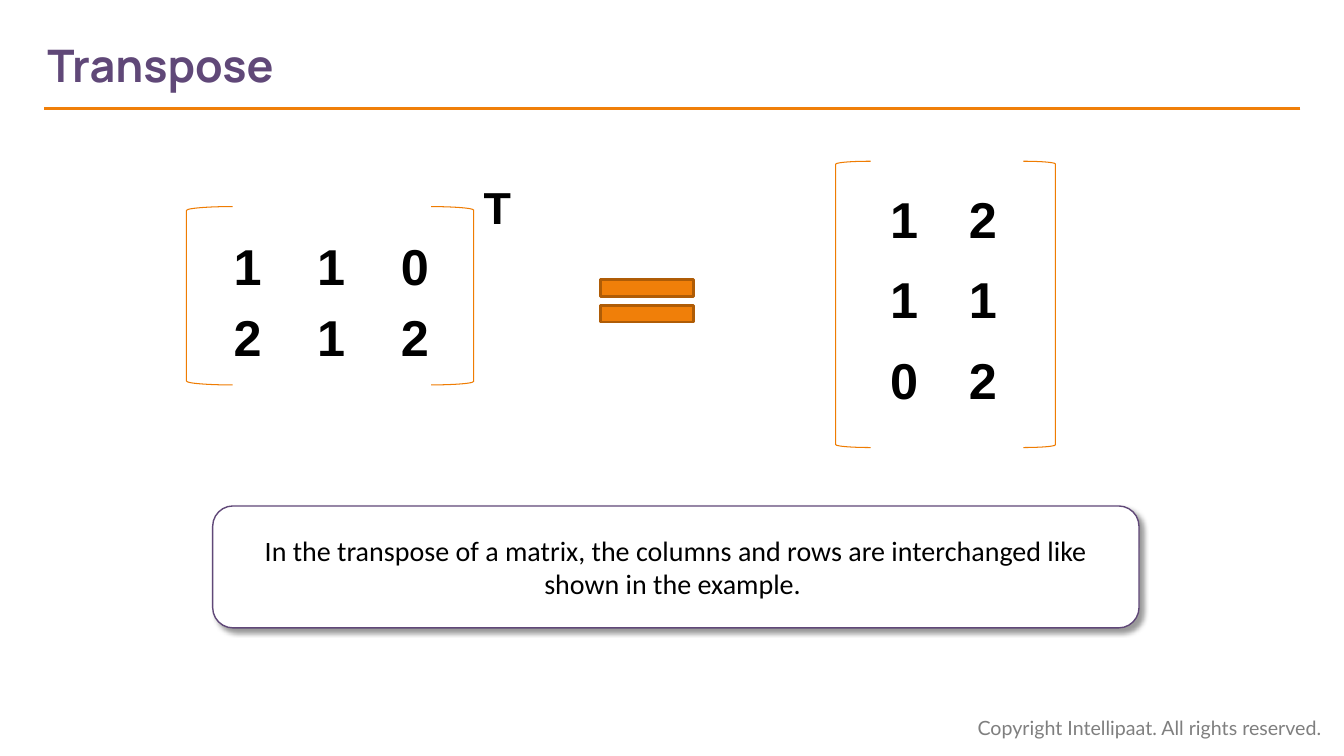
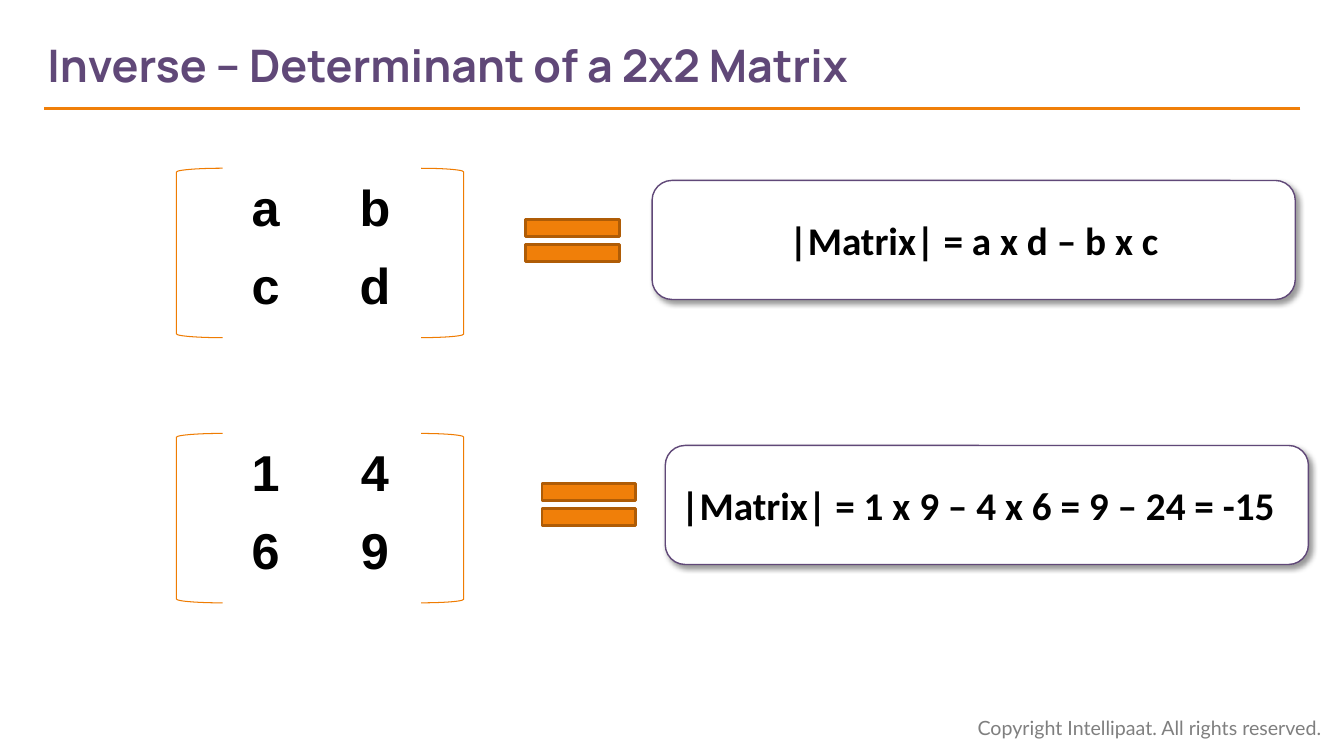
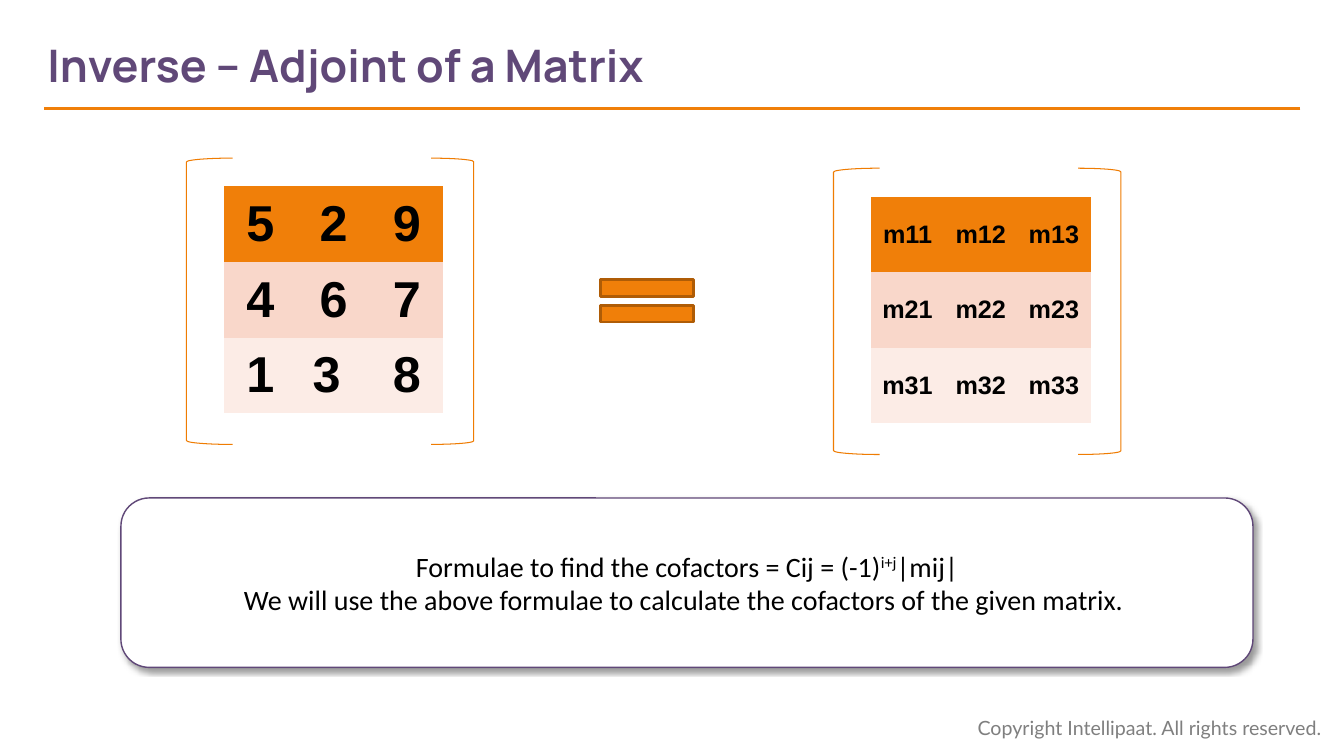
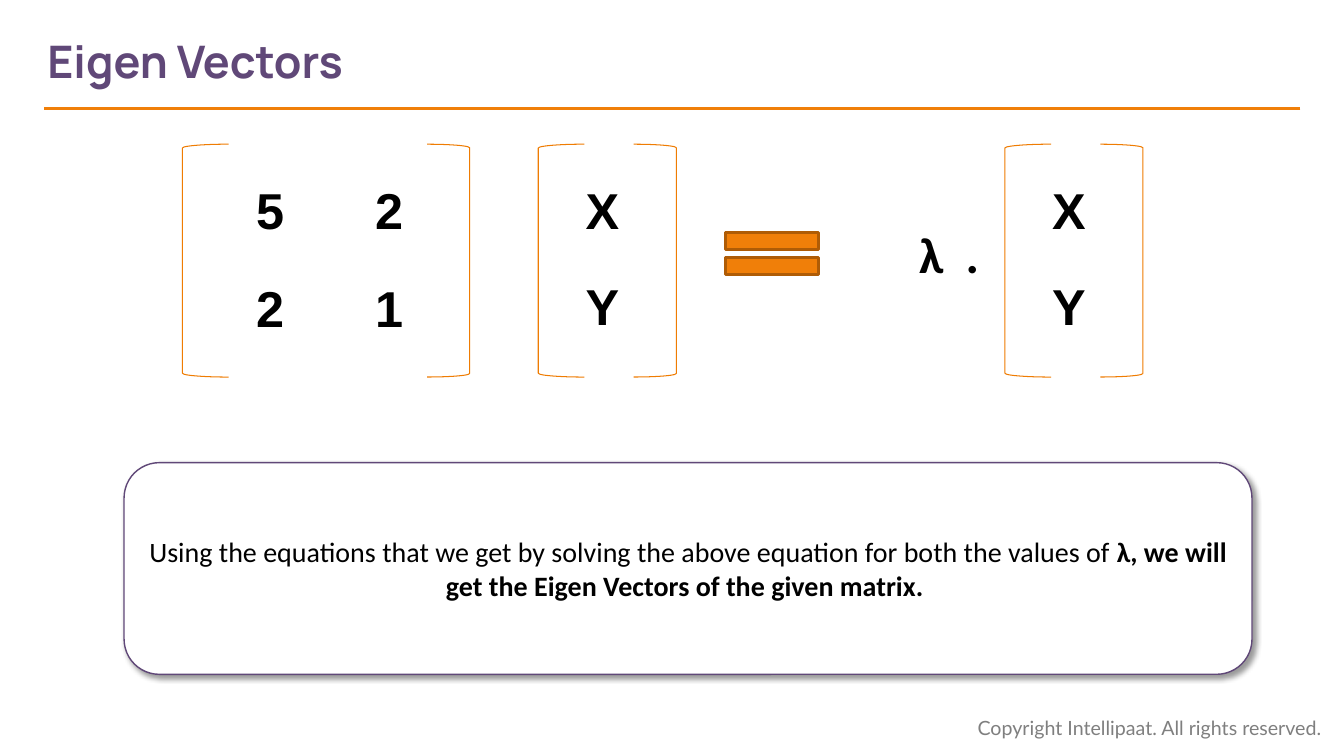
"""Build four slides on matrix transpose, determinant, adjoint and eigenvectors."""
from lxml.etree import SubElement
from pptx import Presentation
from pptx.dml.color import RGBColor
from pptx.enum.shapes import MSO_CONNECTOR, MSO_SHAPE
from pptx.enum.text import MSO_ANCHOR, PP_ALIGN
from pptx.oxml.ns import qn
from pptx.util import Pt

PURPLE, ORANGE, BRACKET, RUST = "604878", "F07F09", "EF7C02", "AF5C06"
BLACK, WHITE, GREY = "000000", "FFFFFF", "7F7F7F"
PLAIN = [None, None, None]
BANDED = [ORANGE, "F9D7CA", "FCECE6"]
NO_GRID = "{2D5ABB26-0587-4C30-8999-92F81FD0307C}"
BRACKET_WIDTH = 205.2


def paint(shape, fill=None, line=None, width=1):
    """Set fill and outline from hex colours and drop the inherited shadow."""
    shape.shadow.inherit = False
    if fill:
        shape.fill.solid()
        shape.fill.fore_color.rgb = RGBColor.from_string(fill)
    else:
        shape.fill.background()
    shape.line.color.rgb = RGBColor.from_string(line)
    shape.line.width = Pt(width)


def write(frame, text, size=20, font="Calibri", color=BLACK, bold=False,
          align=PP_ALIGN.LEFT, anchor=MSO_ANCHOR.TOP):
    """Write a string, or paragraphs made of (text, style) runs."""
    frame.word_wrap = True
    frame.vertical_anchor = anchor
    paragraphs = [[(text, "")]] if isinstance(text, str) else text
    for index, runs in enumerate(paragraphs):
        paragraph = frame.add_paragraph() if index else frame.paragraphs[0]
        paragraph.alignment = align
        for words, style in runs:
            run = paragraph.add_run()
            run.text = words
            run.font.size = Pt(size)
            run.font.name = font
            run.font.bold = bold or style == "bold"
            run.font.color.rgb = RGBColor.from_string(color)
            if style == "superscript":
                run.font._element.set("baseline", "30000")


# Matrix: bracket box, arm, cell origin, column widths, row height, size, fills, rows.
# Card: box, size, bold, alignment, text.  Label: left, top, width, size, font, text.
slides = [
    {
        "title": "Transpose", "title_top": 15.8,
        "matrices": [
            ((133.2, 147.6, BRACKET_WIDTH, 127.4), 33, (146.9, 166.3), [59.8] * 3, 44.6, 36,
             PLAIN, [["1", "1", "0"], ["2", "1", "2"]]),
            ((596.9, 115.2, 157, 204.5), 25, (617.8, 128.9), [56.2] * 2, 57.6, 36,
             PLAIN, [["1", "2"], ["1", "1"], ["0", "2"]]),
        ],
        "equals": [(416.9, 189.4)],
        "labels": [(338.4, 124.6, 49.7, 32, "Arial", "T")],
        "cards": [((151.9, 361.4, 661.7, 87.1), 20, False, PP_ALIGN.CENTER,
                   "In the transpose of a matrix, the columns and rows are "
                   "interchanged like shown in the example. ")],
    },
    {
        "title": "Inverse – Determinant of a 2x2 Matrix", "title_top": 15.8,
        "matrices": [
            ((126, top, BRACKET_WIDTH, 121), 33, (151.9, top + 1.5), [75.6, 80.6], 55.4, 36,
             PLAIN, rows)
            for top, rows in [(120.2, [["a", "b"], ["c", "d"]]),
                              (309.6, [["1", "4"], ["6", "9"]])]
        ],
        "equals": [(363.6, 146.2), (375.1, 334.8)],
        "labels": [],
        "cards": [
            ((465.8, 128.9, 459.4, 85), 28, True, PP_ALIGN.CENTER,
             "|Matrix| = a x d – b x c"),
            ((475.2, 318.2, 459.4, 85), 28, True, PP_ALIGN.LEFT,
             "|Matrix| = 1 x 9 – 4 x 6 = 9 – 24 = -15"),
        ],
    },
    {
        "title": "Inverse – Adjoint of a Matrix", "title_top": 15.8,
        "matrices": [
            ((133.2, 113, BRACKET_WIDTH, 204.5), 33, (159.8, 133.2), [52.3] * 3, 54, 36,
             BANDED, [["5", "2", "9"], ["4", "6", "7"], ["1", "3 ", "8"]]),
            ((595.4, 120.2, BRACKET_WIDTH, 204.5), 33, (622.1, 140.4), [52.3] * 3, 54, 18,
             BANDED, [[f"m{row}{column}" for column in (1, 2, 3)] for row in (1, 2, 3)]),
        ],
        "equals": [(416.9, 189.4)],
        "labels": [],
        "cards": [((86.4, 355.7, 808.6, 121), 20, False, PP_ALIGN.CENTER, [
            [("Formulae to find the cofactors = Cij = (-1)", ""),
             ("i+j", "superscript"), ("|mij|", "")],
            [("We will use the above formulae to calculate the cofactors "
              "of the given matrix. ", "")],
        ])],
    },
    {
        "title": "Eigen Vectors", "title_top": 13,
        "matrices": [
            ((130.3, 103, BRACKET_WIDTH, 166.3), 33, (150.5, 115.9), [85] * 2, 70.6, 36,
             PLAIN, [["5", "2"], ["2", "1"]]),
        ] + [
            ((left, 103, 98.6, 166.3), 33, (left + 14.8, 116.6), [61.9], 69.1, 36,
             PLAIN, [["X"], ["Y"]])
            for left in (384.5, 717.8)
        ],
        "equals": [(506.2, 155.5)],
        "labels": [(649.4, 155.5, 40, 36, "Calibri", "λ"),
                   (682.6, 155.5, 30, 36, "Calibri", ".")],
        "cards": [((88.6, 330.5, 805.7, 151.2), 20, False, PP_ALIGN.CENTER, [
            [("Using the equations that we get by solving the above equation "
              "for both the values of ", ""),
             ("λ, we will get the Eigen Vectors of the given matrix. ", "bold")],
        ])],
    },
]

deck = Presentation()
deck.slide_width, deck.slide_height = Pt(960), Pt(540)

for content in slides:
    slide = deck.slides.add_slide(deck.slide_layouts[6])
    shapes = slide.shapes

    footer = shapes.add_textbox(Pt(691.2), Pt(507.6), Pt(264.3), Pt(24.5))
    write(footer.text_frame, "Copyright Intellipaat. All rights reserved.",
          size=14, font="Lato", color=GREY)
    rule = shapes.add_connector(MSO_CONNECTOR.STRAIGHT, Pt(928.8), Pt(77.8), Pt(31.7), Pt(77.8))
    rule.line.color.rgb = RGBColor.from_string(ORANGE)
    rule.line.width = Pt(2.25)
    SubElement(rule._element.spPr, qn("a:effectLst"))
    title = shapes.add_textbox(Pt(33.8), Pt(content["title_top"]), Pt(681.8), Pt(60.5))
    title.text_frame.margin_left = 0
    write(title.text_frame, content["title"], size=32, font="Manrope", color=PURPLE,
          bold=True, anchor=MSO_ANCHOR.MIDDLE)

    for box, arm, origin, widths, row_height, size, fills, rows in content["matrices"]:
        left, top, width, height = box
        right_arm = round(arm * 0.92, 1)
        brackets = shapes.add_group_shape()
        for kind, bracket_left, bracket_width in [
            (MSO_SHAPE.LEFT_BRACKET, left, arm),
            (MSO_SHAPE.RIGHT_BRACKET, left + width - right_arm, right_arm),
        ]:
            bracket = brackets.shapes.add_shape(
                kind, Pt(bracket_left), Pt(top), Pt(bracket_width), Pt(height))
            paint(bracket, line=BRACKET, width=0.75)

        frame = shapes.add_table(len(rows), len(widths), Pt(origin[0]), Pt(origin[1]),
                                 Pt(sum(widths)), Pt(row_height * len(rows)))
        matrix = frame.table
        matrix.first_row = matrix.horz_banding = False
        next(frame._element.iter(qn("a:tableStyleId"))).text = NO_GRID
        for column, column_width in zip(matrix.columns, widths):
            column.width = Pt(column_width)
        for table_row, entries, fill in zip(matrix.rows, rows, fills):
            table_row.height = Pt(row_height)
            for cell, entry in zip(table_row.cells, entries):
                write(cell.text_frame, entry, size=size, font="Arial", bold=True,
                      align=PP_ALIGN.CENTER)
                cell.vertical_anchor = MSO_ANCHOR.MIDDLE
                if fill:
                    cell.fill.solid()
                    cell.fill.fore_color.rgb = RGBColor.from_string(fill)
                else:
                    cell.fill.background()

    for left, top in content["equals"]:
        equal = shapes.add_shape(MSO_SHAPE.MATH_EQUAL, Pt(left), Pt(top), Pt(90.7), Pt(51.1))
        paint(equal, ORANGE, RUST, 2)

    for left, top, width, size, font, text in content["labels"]:
        label = shapes.add_textbox(Pt(left), Pt(top), Pt(width), Pt(51))
        write(label.text_frame, text, size=size, font=font, bold=True)

    for box, size, bold, align, text in content["cards"]:
        card = shapes.add_shape(MSO_SHAPE.ROUNDED_RECTANGLE, *map(Pt, box))
        paint(card, WHITE, PURPLE)
        effects = card._element.spPr.find(qn("a:effectLst"))
        shadow = SubElement(effects, qn("a:outerShdw"), blurRad=str(Pt(4)), dist=str(Pt(3)),
                            dir="2700000", algn="tl", rotWithShape="0")
        shade = SubElement(shadow, qn("a:srgbClr"), val=BLACK)
        SubElement(shade, qn("a:alpha"), val="40000")
        write(card.text_frame, text, size=size, bold=bold, align=align,
              anchor=MSO_ANCHOR.MIDDLE)

deck.save("out.pptx")
